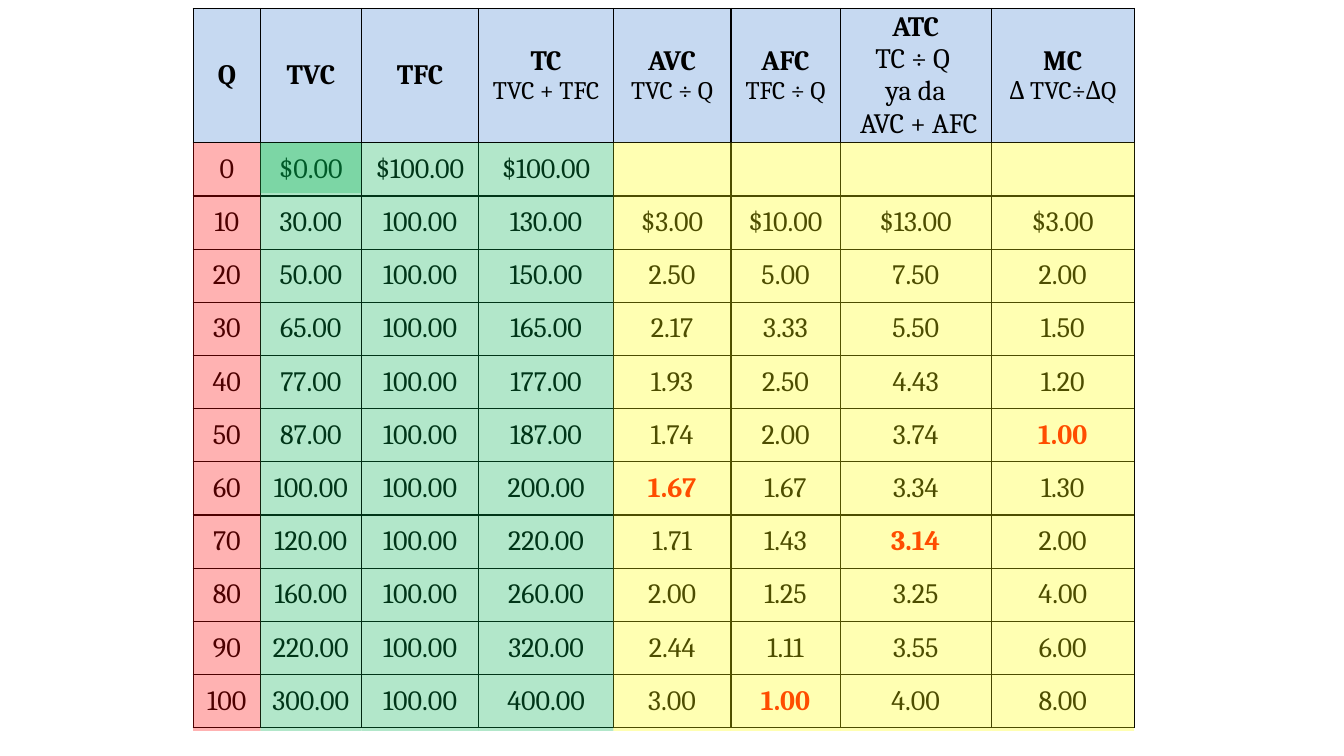
from dataclasses import dataclass
from itertools import accumulate, zip_longest

from lxml.etree import SubElement as Sub
from pptx import Presentation
from pptx.dml.color import RGBColor as Rgb
from pptx.enum.shapes import MSO_SHAPE as Kind
from pptx.enum.text import MSO_ANCHOR as Anchor, PP_ALIGN as Align
from pptx.oxml.ns import qn
from pptx.util import Emu, Inches, Pt


@dataclass(frozen=True)
class Theme:
    font: str = "Cambria"
    ink: str = "000000"
    low: str = "FF0000"
    head: str = "C6D9F1"
    red: str = "FF0000"
    green: str = "00B050"
    yellow: str = "FFFF00"
    alpha: int = 30
    big: int = 20
    small: int = 18
    line: int = 1


@dataclass(frozen=True)
class Head:
    name: str
    width: int  # grid units
    notes: tuple[str, ...] = ()
    size: int = Theme.small


@dataclass(frozen=True)
class Tint:
    first: int  # first column
    last: int  # column after the last one
    top: int  # grid units
    high: int
    color: str


THEME = Theme()

# Grid: twelve units to the inch
UNIT = Inches(1 / 12)
LEFT, TOP, DEEP, ROW = 23, 1, 16, 19 / 3
BODY, FULL, BAND = TOP + DEEP, 70, 6

HEADS = [
    Head("Q", 8),
    Head("TVC", 12),
    Head("TFC", 14),
    Head("TC", 16, ("TVC + TFC",)),
    Head("AVC", 14, ("TVC ÷ Q",)),
    Head("AFC", 13, ("TFC ÷ Q",)),
    Head("ATC", 18, ("TC ÷ Q ", "ya da", " AVC + AFC"), THEME.big),
    Head("MC", 17, ("Δ TVC÷ΔQ",)),
]
EDGES = list(accumulate((h.width for h in HEADS), initial=LEFT))

COSTS = [
    "0 $0.00 $100.00 $100.00",
    "10 30.00 100.00 130.00 $3.00 $10.00 $13.00 $3.00",
    "20 50.00 100.00 150.00 2.50 5.00 7.50 2.00",
    "30 65.00 100.00 165.00 2.17 3.33 5.50 1.50",
    "40 77.00 100.00 177.00 1.93 2.50 4.43 1.20",
    "50 87.00 100.00 187.00 1.74 2.00 3.74 1.00",
    "60 100.00 100.00 200.00 1.67 1.67 3.34 1.30",
    "70 120.00 100.00 220.00 1.71 1.43 3.14 2.00",
    "80 160.00 100.00 260.00 2.00 1.25 3.25 4.00",
    "90 220.00 100.00 320.00 2.44 1.11 3.55 6.00",
    "100 300.00 100.00 400.00 3.00 1.00 4.00 8.00",
]
# Lowest value of each curve, as (Q, column)
LOWS = {("50", 7), ("60", 4), ("70", 6), ("100", 5)}

TINTS = [
    Tint(0, 1, BODY, FULL, THEME.red),
    Tint(1, 2, BODY, BAND, THEME.green),
    *(Tint(c, c + 1, BODY, FULL, THEME.green) for c in range(1, 4)),
    Tint(4, 8, BODY, BAND, THEME.yellow),
    *(Tint(c, c + 1, BODY + BAND, FULL - BAND, THEME.yellow)
      for c in range(4, 8)),
]

CELL = {
    "margin_left": Inches(0.06), "margin_right": Inches(0.06),
    "margin_top": 0, "margin_bottom": 0,
    "vertical_anchor": Anchor.MIDDLE,
}
PLAIN = {"first_row": False, "horz_banding": False}


def units(n: float) -> Emu:
    return Emu(round(n * UNIT))


def apply(item: object, form: dict) -> None:
    for key, value in form.items():
        setattr(item, key, value)


def frame(cell) -> None:
    """Set the cell's insets and draw its four borders."""
    apply(cell, CELL)
    props = cell._tc.get_or_add_tcPr()
    for side in ("lnL", "lnR", "lnT", "lnB"):
        line = Sub(props, qn(f"a:{side}"), w=str(Pt(THEME.line)))
        fill = Sub(line, qn("a:solidFill"))
        Sub(fill, qn("a:srgbClr"), val=THEME.ink)


def write(para, text: str, size: int, bold: bool, color: str) -> None:
    para.alignment = Align.CENTER
    run = para.add_run()
    run.text = text
    apply(run.font, {"name": THEME.font, "size": Pt(size), "bold": bold})
    run.font.color.rgb = Rgb.from_string(color)


def title(cell, head: Head) -> None:
    frame(cell)
    cell.fill.solid()
    cell.fill.fore_color.rgb = Rgb.from_string(THEME.head)
    text = cell.text_frame
    write(text.paragraphs[0], head.name, THEME.big, True, THEME.ink)
    for note in head.notes:
        write(text.add_paragraph(), note, head.size, False, THEME.ink)


def value(cell, text: str, low: bool) -> None:
    frame(cell)
    cell.fill.background()
    if text:
        color = THEME.low if low else THEME.ink
        write(cell.text_frame.paragraphs[0], text, THEME.big, low, color)


def table(slide) -> None:
    count = len(COSTS)
    grid = slide.shapes.add_table(
        count + 1, len(HEADS), units(LEFT), units(TOP),
        units(EDGES[-1] - LEFT), units(DEEP + count * ROW)).table
    apply(grid, PLAIN)
    for r, row in enumerate(grid.rows):
        row.height = units(ROW if r else DEEP)
    for c, head in enumerate(HEADS):
        grid.columns[c].width = units(head.width)
        title(grid.cell(0, c), head)
    for r, line in enumerate(COSTS, 1):
        texts = line.split()
        for c, (_, text) in enumerate(zip_longest(HEADS, texts, fillvalue="")):
            value(grid.cell(r, c), text, (texts[0], c) in LOWS)


def wash(slide, tint: Tint) -> None:
    left, right = EDGES[tint.first], EDGES[tint.last]
    box = slide.shapes.add_shape(
        Kind.RECTANGLE, units(left), units(tint.top),
        units(right - left), units(tint.high))
    box.shadow.inherit = False
    box.line.fill.background()
    box.fill.solid()
    box.fill.fore_color.rgb = Rgb.from_string(tint.color)
    color = box._element.spPr.find(f"{qn('a:solidFill')}/{qn('a:srgbClr')}")
    Sub(color, qn("a:alpha"), val=str(THEME.alpha * 1000))


def main() -> None:
    deck = Presentation()
    apply(deck, {"slide_width": Inches(13.33), "slide_height": Inches(7.5)})
    slide = deck.slides.add_slide(deck.slide_layouts[6])
    # Cost table
    table(slide)
    # Coloured veils over the columns
    for tint in TINTS:
        wash(slide, tint)
    deck.save("out.pptx")


if __name__ == "__main__":
    main()
